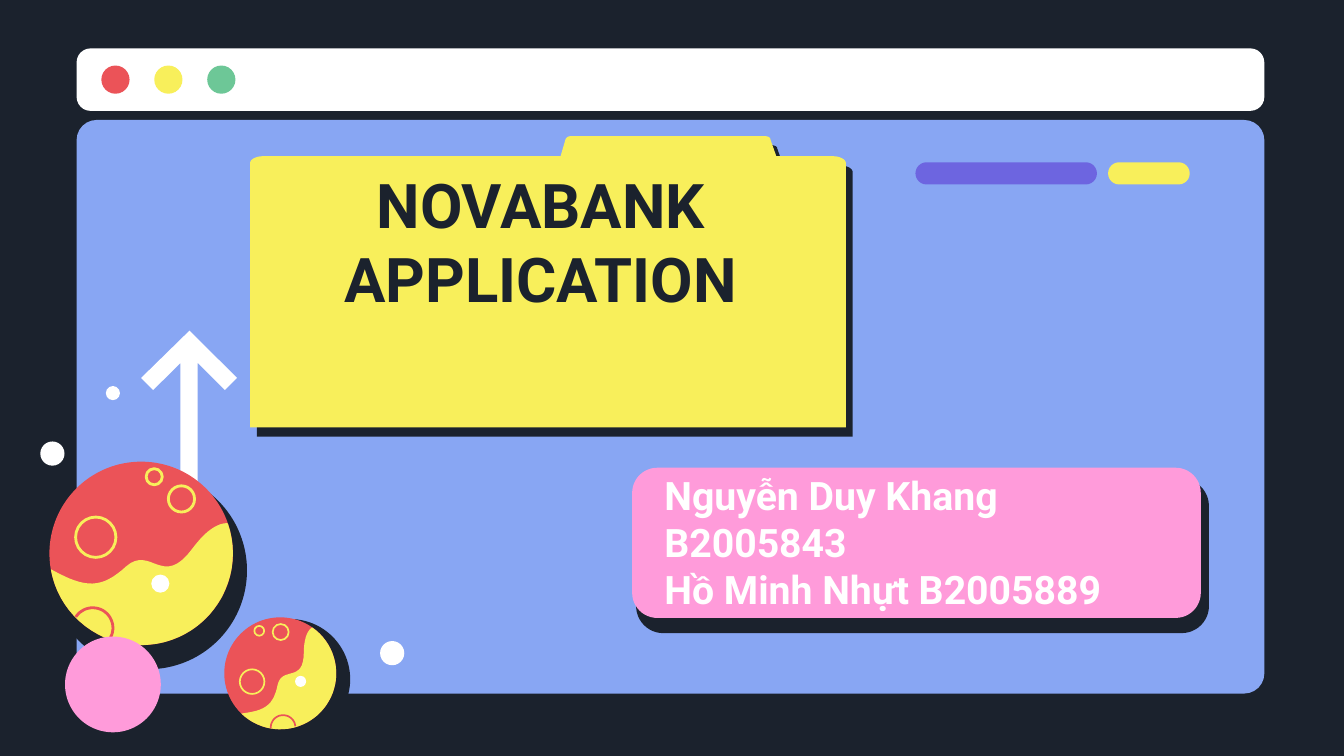
import math
from dataclasses import dataclass

from lxml import etree
from pptx import Presentation
from pptx.dml.color import RGBColor
from pptx.enum import shapes, text
from pptx.oxml import ns
from pptx.util import Inches, Pt


@dataclass(frozen=True)
class Theme:
    dark: str = "1B222D"
    white: str = "FFFFFF"
    blue: str = "88A6F3"
    red: str = "EB5358"
    yellow: str = "F8EF5B"
    green: str = "6DC797"
    purple: str = "6D65E0"
    pink: str = "FF9BDA"
    font: str = "Roboto"
    title: int = 44
    names: int = 28


T = Theme()
SCALE = 1000  # freeform units per inch

FOLDER = [(8.39, 1.62), (8.39, 4.24), (2.48, 4.24), (2.48, 1.62),
          (2.48, 1.58, 2.54, 1.55, 2.61, 1.55), (5.56, 1.55), (5.61, 1.38),
          (5.62, 1.36, 5.64, 1.35, 5.67, 1.35), (7.58, 1.35),
          (7.61, 1.35, 7.64, 1.36, 7.64, 1.38), (7.7, 1.55), (8.26, 1.55),
          (8.33, 1.55, 8.39, 1.58, 8.39, 1.62)]
ARROW = [(1.79, 5.72), (1.79, 3.6), (1.52, 3.87), (1.4, 3.75), (1.88, 3.28),
         (2.35, 3.75), (2.23, 3.87), (1.96, 3.6), (1.96, 5.72)]

# Planet parts, measured from the centre of a planet drawn at scale 1
RADIUS = 0.91
WAVE = [(-0.89, 0.16), (-0.55, 0.35, -0.39, 0.35, -0.15, 0.13),
        (0.1, -0.09, 0.21, 0.36, 0.51, -0.05),
        (0.65, -0.24, 0.77, -0.3, 0.85, -0.3)]
RINGS = [(-0.45, -0.16, 0.2), (0.4, -0.54, 0.13), (0.13, -0.76, 0.08)]


def paint(s, fill=None, line=None, width=1):
    s.shadow.inherit = False
    for part, colour in ((s.fill, fill), (s.line.fill, line)):
        if colour:
            part.solid()
            part.fore_color.rgb = RGBColor.from_string(colour)
        else:
            part.background()
    if line:
        s.line.width = Pt(width)
    return s


def add_round_rect(sp, x, y, w, h, adj, fill, **line):
    s = sp.add_shape(shapes.MSO_SHAPE.ROUNDED_RECTANGLE, *map(Inches, (x, y, w, h)))
    s.adjustments[0] = adj
    return paint(s, fill, **line)


def add_circle(sp, x, y, radius, fill=None, **line):
    """Draw a circle around its centre."""
    box = (x - radius, y - radius, 2 * radius, 2 * radius)
    return paint(sp.add_shape(shapes.MSO_SHAPE.OVAL, *map(Inches, box)), fill, **line)


def flatten(path, steps=16):
    """Turn points and cubic curves (six numbers) into a list of points."""
    points = []
    for item in path:
        if len(item) == 2:
            points.append(item)
            continue
        knots = [points[-1], item[:2], item[2:4], item[4:]]
        for i in range(1, steps + 1):
            t = i / steps
            weights = [math.comb(3, k) * t ** k * (1 - t) ** (3 - k) for k in range(4)]
            points.append(tuple(sum(w * k[axis] for w, k in zip(weights, knots))
                                for axis in (0, 1)))
    return points


def arc(x, y, radius, start, end, steps=40):
    angles = [math.radians(start + (end - start) * i / steps) for i in range(steps + 1)]
    return [(x + radius * math.cos(a), y + radius * math.sin(a)) for a in angles]


def add_outline(sp, points, close=True, **style):
    units = [(round(x * SCALE), round(y * SCALE)) for x, y in points]
    builder = sp.build_freeform(*units[0], scale=Inches(1) / SCALE)
    builder.add_line_segments(units[1:], close=close)
    return paint(builder.convert_to_shape(), **style)


def add_hard_shadow(s, colour, distance, degrees):
    effects = s._element.spPr.find(ns.qn("a:effectLst"))
    shadow = etree.SubElement(effects, ns.qn("a:outerShdw"), blurRad="0",
                              dist=str(Pt(distance)), dir=str(degrees * 60000),
                              algn="bl", rotWithShape="0")
    etree.SubElement(shadow, ns.qn("a:srgbClr"), val=colour)


def add_planet(sp, cx, cy, scale=1, turn=0):
    """Draw a planet with its shadow, turned clockwise by some degrees."""
    cos, sin = math.cos(math.radians(turn)), math.sin(math.radians(turn))

    def place(x, y):
        return cx + scale * (x * cos - y * sin), cy + scale * (x * sin + y * cos)

    def circle(x, y, radius, *fill, **line):
        add_circle(sp, *place(x, y), radius * scale, *fill, **line)

    stroke = 2 * scale
    circle(0.07, 0.17, 0.98, T.dark)
    circle(0, 0, RADIUS, T.red)
    for ring in RINGS:
        circle(*ring, line=T.yellow, width=stroke)
    wave = flatten(WAVE) + arc(0, 0, RADIUS, -19, 170)
    add_outline(sp, [place(*point) for point in wave], fill=T.yellow)
    crater = arc(-0.48, 0.74, 0.2, 213, 390)
    add_outline(sp, [place(*point) for point in crater], close=False,
                line=T.red, width=stroke)
    circle(0.19, 0.3, 0.09, T.white)


def add_text(sp, x, y, w, h, words, size, colour, align):
    tf = sp.add_textbox(*map(Inches, (x, y, w, h))).text_frame
    frame = {"word_wrap": True, "vertical_anchor": text.MSO_ANCHOR.MIDDLE}
    frame.update({f"margin_{side}": Inches(0.13)
                  for side in ("left", "right", "top", "bottom")})
    for name, value in frame.items():
        setattr(tf, name, value)
    p = tf.paragraphs[0]
    p.text, p.alignment = words, align
    for r in p.runs:
        for name, value in {"name": T.font, "size": Pt(size), "bold": True}.items():
            setattr(r.font, name, value)
        r.font.color.rgb = RGBColor.from_string(colour)


def add_window(sp):
    add_round_rect(sp, 0.76, 1.19, 11.78, 5.69, 0.035, T.blue)
    add_round_rect(sp, 0.76, 0.48, 11.78, 0.62, 0.223, T.white)
    for i, colour in enumerate((T.red, T.yellow, T.green)):
        add_circle(sp, 1.145 + 0.525 * i, 0.79, 0.14, colour)
    for x, width, colour in ((9.08, 1.8, T.purple), (10.99, 0.81, T.yellow)):
        add_round_rect(sp, x, 1.61, width, 0.22, 0.5, colour)


def main():
    prs = Presentation()
    prs.slide_width, prs.slide_height = Inches(13.33), Inches(7.5)
    slide = prs.slides.add_slide(prs.slide_layouts[6])
    slide.background.fill.solid()
    slide.background.fill.fore_color.rgb = RGBColor.from_string(T.dark)
    sp = slide.shapes

    add_window(sp)
    add_outline(sp, ARROW, fill=T.white)

    add_round_rect(sp, 6.33, 4.77, 5.64, 1.49, 0.167, T.dark, line=T.dark, width=3)
    add_round_rect(sp, 6.27, 4.64, 5.64, 1.49, 0.167, T.pink)
    folder = add_outline(sp, flatten(FOLDER), fill=T.yellow)
    add_hard_shadow(folder, T.dark, 8.2, 53)
    add_text(sp, 2.59, 1.54, 5.55, 1.7, "NOVABANK\vAPPLICATION",
             T.title, T.dark, text.PP_ALIGN.CENTER)
    add_text(sp, 6.46, 4.76, 5.33, 1.23,
             "Nguyễn Duy Khang B2005843\vHồ Minh Nhựt B2005889",
             T.names, T.white, text.PP_ALIGN.LEFT)

    add_planet(sp, 1.4, 5.49)
    add_circle(sp, 1.12, 6.79, 0.475, T.pink)
    add_planet(sp, 2.78, 6.68, scale=0.61, turn=-36)
    for x, y, radius in ((0.52, 4.5, 0.12), (3.89, 6.48, 0.12), (1.12, 3.9, 0.07)):
        add_circle(sp, x, y, radius, T.white)

    prs.save("out.pptx")


if __name__ == "__main__":
    main()
